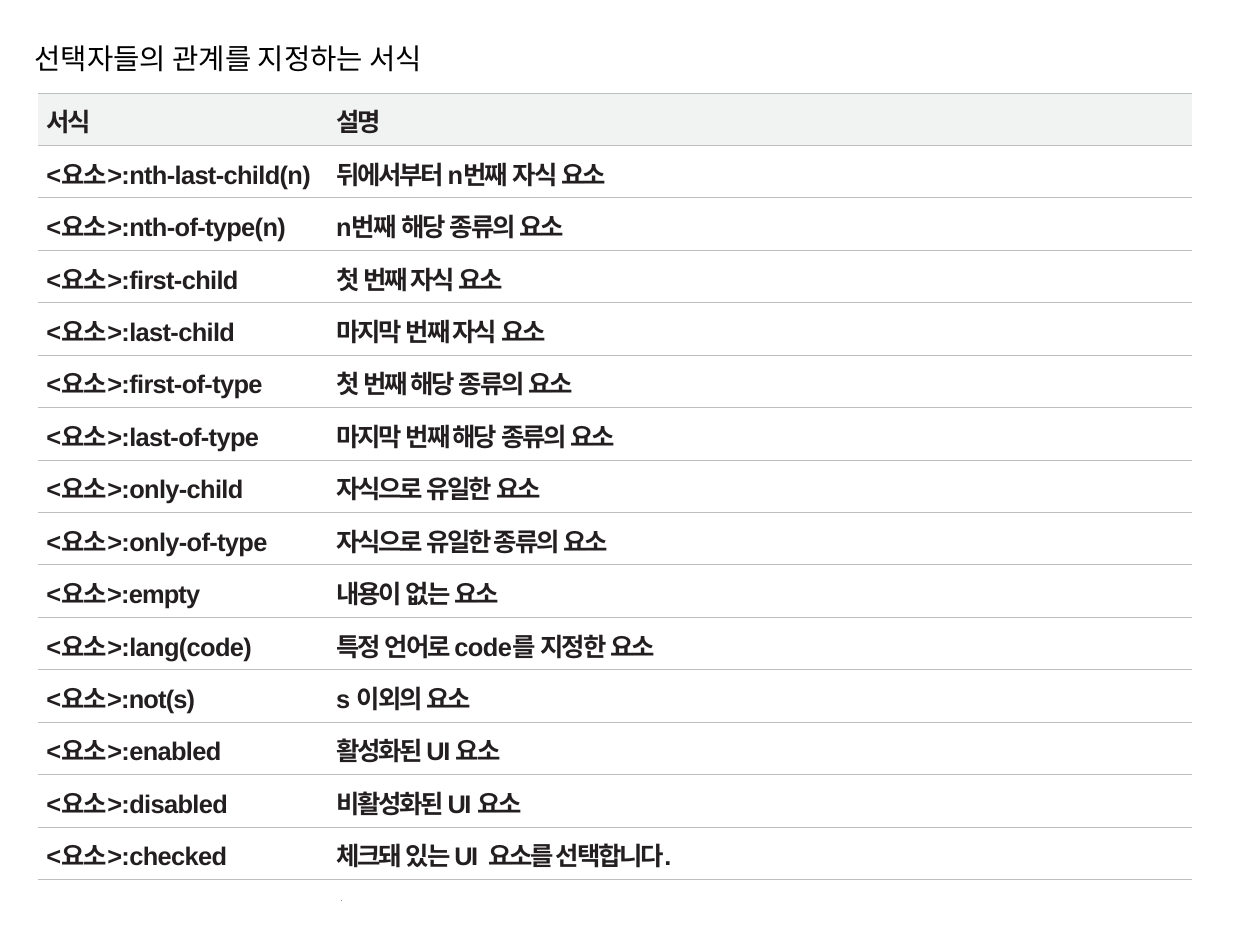
from typing import NamedTuple

from lxml import etree
from pptx import Presentation, util as u
from pptx.dml.color import RGBColor
from pptx.enum import text as t
from pptx.oxml.ns import qn

PX = 9525  # EMU per px
FONT = "Arial"
COLORS = {"title": "000000", "text": "231F20", "head": "F1F2F2",
          "rule": "BCBEC0", "mark": "939598"}
COLUMNS = (243, 725)
ROW_HEIGHT = 44


class Run(NamedTuple):
    text: str
    spacing: float = -1.4


class Row(NamedTuple):
    selector: Run
    meaning: tuple[Run, ...]


def selector(name: str, spacing: float = -0.4) -> Run:
    return Run(f"<요소>:{name}", spacing)


FIRST = Run("첫 ", -1.1)
LAST = Run("마지막 ", -1.3)
NTH = Run("n번째 ", -0.9)
CHILD = Run("번째 자식 ", -1.2)
OF_KIND = Run("번째 해당 ", -1.2)
KIND = Run("종류의 ", -1.3)
AS_CHILD = Run("자식으로 ")
UI = Run("UI ", -0.9)
ELEMENT = Run("요소")

ROWS = [
    Row(Run("서식"), (Run("설명"),)),
    Row(selector("nth-last-child(n)"),
        (Run("뒤에서부터 "), NTH, Run("자식 ", -1.2), ELEMENT)),
    Row(selector("nth-of-type(n)"), (NTH, Run("해당 ", -1.2), KIND, ELEMENT)),
    Row(selector("first-child"), (FIRST, CHILD, ELEMENT)),
    Row(selector("last-child"), (LAST, CHILD, ELEMENT)),
    Row(selector("first-of-type"), (FIRST, OF_KIND, KIND, ELEMENT)),
    Row(selector("last-of-type"), (LAST, OF_KIND, KIND, ELEMENT)),
    Row(selector("only-child"), (AS_CHILD, Run("유일한 ", -1.3), ELEMENT)),
    Row(selector("only-of-type"),
        (AS_CHILD, Run("유일한 종류의 ", -1.3), ELEMENT)),
    Row(selector("empty", -0.5),
        (Run("내용이 ", -1.3), Run("없는 ", -1.2), ELEMENT)),
    Row(selector("lang(code)"),
        (Run("특정 ", -1.2), Run("언어로 ", -1.3), Run("code를 ", -0.3),
         Run("지정한 ", -1.3), ELEMENT)),
    Row(selector("not(s)", -0.5),
        (Run("s ", -0.3), Run("이외의 ", -1.3), ELEMENT)),
    Row(selector("enabled"), (Run("활성화된 "), UI, ELEMENT)),
    Row(selector("disabled"), (Run("비활성화된 "), UI, ELEMENT)),
    Row(selector("checked"),
        (Run("체크돼 ", -1.3), Run("있는 ", -1.2), Run("UI", -0.9),
         Run(" ", 2), Run("요소를 선택합니다.", -1.3))),
]


def px(n: int) -> u.Emu:
    return u.Emu(n * PX)


def rgb(name: str) -> RGBColor:
    return RGBColor.from_string(COLORS[name])


def add_run(p, run: Run, size: int, color: str, bold: bool) -> None:
    r = p.add_run()
    r.text = run.text
    r.font.name = FONT
    r.font.size = u.Pt(size)
    r.font.bold = bold
    r.font.color.rgb = rgb(color)
    r.font._element.set("spc", str(round(run.spacing * 100)))


def set_borders(cell) -> None:
    """Rule the top and bottom of a cell and clear its sides."""
    tc_pr = cell._tc.get_or_add_tcPr()
    for i, side in enumerate(("lnL", "lnR", "lnT", "lnB")):
        ln = etree.Element(qn(f"a:{side}"), w=str(u.Pt(0.5)))
        if side in ("lnT", "lnB"):
            fill = etree.SubElement(ln, qn("a:solidFill"))
            etree.SubElement(fill, qn("a:srgbClr"), val=COLORS["rule"])
        else:
            etree.SubElement(ln, qn("a:noFill"))
        tc_pr.insert(i, ln)


def fill_cell(cell, runs: tuple[Run, ...], is_head: bool) -> None:
    cell.margin_left = cell.margin_right = cell.margin_bottom = 0
    cell.margin_top = px(8)
    if is_head:
        cell.fill.solid()
        cell.fill.fore_color.rgb = rgb("head")
    else:
        cell.fill.background()
    set_borders(cell)
    p = cell.text_frame.paragraphs[0]
    p.space_before = u.Pt(3)
    p._p.get_or_add_pPr().set("marL", str(px(7)))
    for run in runs:
        add_run(p, run, 16, "text", True)


def add_title(s) -> None:
    sp = s.shapes.title
    sp.left, sp.top, sp.width, sp.height = map(px, (29, 20, 1000, 38))
    tf = sp.text_frame
    tf.margin_left = tf.margin_top = tf.margin_right = tf.margin_bottom = 0
    tf.vertical_anchor = t.MSO_ANCHOR.TOP
    tf.auto_size = t.MSO_AUTO_SIZE.SHAPE_TO_FIT_TEXT
    tf.word_wrap = True
    p = tf.paragraphs[0]
    p.alignment = t.PP_ALIGN.LEFT
    p.line_spacing = 1.5
    add_run(p, Run("선택자들의 관계를 지정하는 서식", 0), 18, "title", False)


def add_selector_table(s) -> None:
    table = s.shapes.add_table(
        len(ROWS), len(COLUMNS), px(32), px(78),
        px(sum(COLUMNS)), px(ROW_HEIGHT * len(ROWS))).table
    table.first_row = table.horz_banding = False
    for column, width in zip(table.columns, COLUMNS):
        column.width = px(width)
    for i, row in enumerate(ROWS):
        fill_cell(table.cell(i, 0), (row.selector,), i == 0)
        fill_cell(table.cell(i, 1), row.meaning, i == 0)


def add_mark(s) -> None:
    """Draw the tiny tick below the table."""
    builder = s.shapes.build_freeform(286, 756, scale=PX)
    builder.add_line_segments([(286, 755)], close=False)
    sp = builder.convert_to_shape()
    sp.shadow.inherit = False
    sp.fill.background()
    sp.line.color.rgb = rgb("mark")
    sp.line.width = u.Pt(0.25)


def main() -> None:
    prs = Presentation()
    prs.slide_width, prs.slide_height = px(1057), px(793)
    s = prs.slides.add_slide(prs.slide_layouts.get_by_name("Title Only"))
    add_title(s)
    add_mark(s)
    add_selector_table(s)
    prs.save("out.pptx")


if __name__ == "__main__":
    main()
